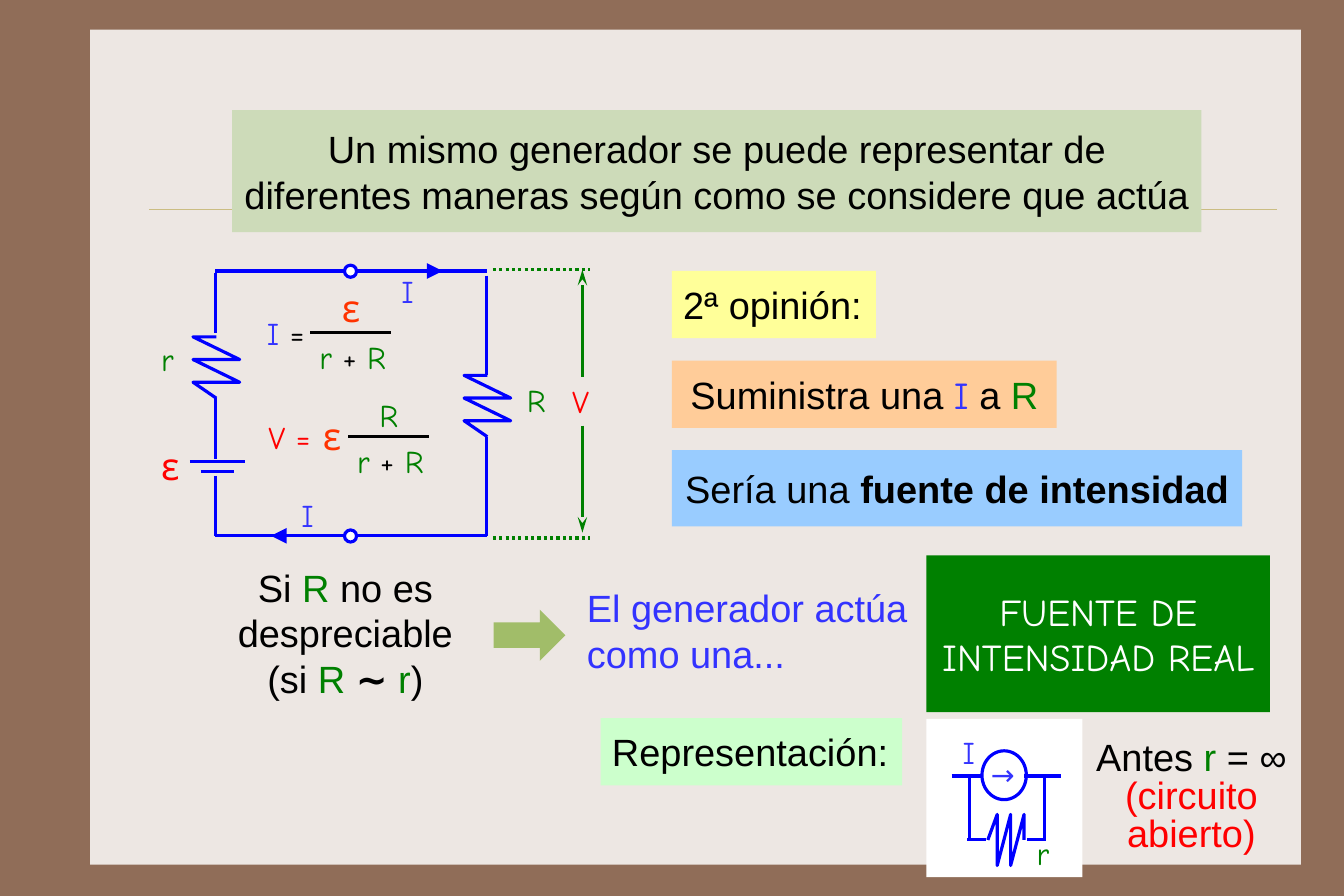
from dataclasses import dataclass
from lxml.etree import SubElement
from pptx import Presentation
from pptx.dml.color import RGBColor
from pptx.enum.dml import MSO_LINE
from pptx.enum.shapes import MSO_CONNECTOR, MSO_SHAPE
from pptx.enum.text import MSO_ANCHOR, MSO_AUTO_SIZE, PP_ALIGN
from pptx.oxml.ns import qn
from pptx.util import Cm, Pt


class Theme:
    tones = dict(
        frame="906D58", panel="EDE7E3", rule="CBBD83", title="CDDBB9", arrow="A1BD69",
        yellow="FFFF99", orange="FFCC99", sky="99CCFF", mint="CCFFCC", green="008000",
        wire="0000FF", blue="3333FF", red="FF0000", flame="FF3300", ink="000000", white="FFFFFF",
    )
    text, sign, small = 24, 20, 18
    sans, comic = "Arial", "Comic Neue"


def tone(name):
    return RGBColor.from_string(Theme.tones[name])


def put(target, values):
    for name, value in values.items():
        setattr(target, name, value)


def write(frame, paras, size=Theme.text, face=Theme.sans, align=PP_ALIGN.LEFT,
          inset=(0.25, 0.23), wrap=True, anchor=MSO_ANCHOR.MIDDLE, pitch=None):
    side, edge = map(Cm, inset)
    put(frame, dict(
        word_wrap=wrap, auto_size=MSO_AUTO_SIZE.NONE, vertical_anchor=anchor,
        margin_left=side, margin_right=side, margin_top=edge, margin_bottom=edge,
    ))
    for index, runs in enumerate(paras):
        para = frame.add_paragraph() if index else frame.paragraphs[0]
        put(para, dict(alignment=align, line_spacing=pitch))
        for text, hue, *extra in runs:
            run = para.add_run()
            run.text = text
            form = dict(name=face, size=Pt(size), bold=False)
            put(run.font, form | (extra[0] if extra else {}))
            run.font.color.rgb = tone(hue)


@dataclass
class Area:
    shapes: object
    x: float
    y: float
    w: float
    h: float

    def sub(self, x, y, w, h):
        return Area(self.shapes, self.x + x, self.y + y, w, h)

    def place(self):
        return [Cm(value) for value in (self.x, self.y, self.w, self.h)]

    def shape(self, fill=None, kind=MSO_SHAPE.RECTANGLE, line=None):
        item = self.shapes.add_shape(kind, *self.place())
        paint(item, fill, line)
        return item

    def text(self, *paras, **form):
        write(self.shapes.add_textbox(*self.place()).text_frame, paras, **form)

    def label(self, x, y, *runs, w=0.8, size=Theme.sign):
        self.sub(x, y, w, 1.07 if size > Theme.sign else 1).text(
            runs, size=size, face=Theme.comic, inset=(0.2, 0.1),
            wrap=False, anchor=MSO_ANCHOR.TOP)

    def wire(self, x, y, right, low, hue="wire", width=2, dash=None, head=None, span="med"):
        ends = self.x + x, self.y + y, self.x + right, self.y + low
        item = self.shapes.add_connector(MSO_CONNECTOR.STRAIGHT, *map(Cm, ends))
        item.line.color.rgb = tone(hue)
        put(item.line, dict(width=Pt(width), dash_style=dash))
        props = item.element.spPr
        if head:
            SubElement(props.find(qn("a:ln")), qn("a:tailEnd"), type=head, w=span, len="lg")
        SubElement(props, qn("a:effectLst"))

    def zigzag(self, turn=False):
        marks = [(0.5, 1), (0, 0.74), (1, 0.74), (0, 0.37), (1, 0.37), (0, 0), (0.5, 0)]
        if turn:
            marks = [(1 - v, u) for u, v in marks]
        spots = [(Cm(self.x + u * self.w), Cm(self.y + v * self.h)) for u, v in marks]
        path = self.shapes.build_freeform(*spots[0])
        path.add_line_segments(spots[1:], close=False)
        paint(path.convert_to_shape(), line="wire")


def paint(item, fill=None, line=None):
    item.shadow.inherit = False
    if fill:
        item.fill.solid()
        item.fill.fore_color.rgb = tone(fill)
    else:
        item.fill.background()
    if line:
        item.line.color.rgb = tone(line)
        item.line.width = Pt(2)
    else:
        item.line.fill.background()


def heading(area, title):
    put(title, dict(zip(("left", "top", "width", "height"), area.place())))
    title.fill.solid()
    title.fill.fore_color.rgb = tone("title")
    words = ("Un mismo generador se puede representar de diferentes maneras "
             "según como se considere que actúa")
    write(title.text_frame, [[(words, "ink")]], align=PP_ALIGN.CENTER, inset=(0.2, 0.33))
    area.shapes.element.append(title.element)


def fraction(area, top, size, lead):
    area.wire(0, 0, area.w, 0, "ink")
    area.label(0, 0.02, ("r ", "green"), ("+ ", "ink"), ("R", "green"), w=area.w)
    area.label(0.5, -1.17 if size > Theme.sign else -1.01, top, size=size)
    area.label(-1.17 if len(lead) > 1 else -1.98, -0.52, *lead, w=1.5)


def circuit(area):
    left, mid, right, top, low = 1.41, 4.42, 7.46, 0.15, 6.06
    for y in (top, low):
        area.wire(left, y, mid, y)
        area.wire(mid, y, right, y)
    for x, start, end in ((left, 0.2, 1.54), (left, 2.99, 4.34), (left, 4.72, low),
                          (right, 0.25, 2.46), (right, 3.85, low)):
        area.wire(x, start, x, end)
    for half, y in ((0.61, 4.41), (0.37, 4.62)):
        area.wire(left + 0.04 - half, y, left + 0.04 + half, y)
    for x, y in ((left, 1.62), (right, 2.48)):
        area.sub(x - 0.5, y, 1.04, 1.37).zigzag()
    for y in (top, low):
        area.sub(mid - 0.13, y - 0.13, 0.27, 0.27).shape("white", MSO_SHAPE.OVAL, "wire")
    area.wire(6.25, top, 6.48, top, width=1, head="triangle", span="lg")
    area.wire(2.8, low, 2.65, low, width=1, head="triangle", span="lg")
    for x, y, sign, hue in ((0, 1.59, "r", "green"), (8.16, 2.51, "R", "green"),
                            (5.36, 0.07, "I", "blue"), (3.13, 5.08, "I", "blue")):
        area.label(x, y, (sign, hue))
    area.label(0, 3.88, ("ε", "red"), size=Theme.text)
    fraction(area.sub(3.53, 1.52, 1.8, 1), ("ε", "flame"), Theme.text,
             [("I ", "blue"), ("=", "ink")])
    fraction(area.sub(4.37, 3.85, 1.8, 1), ("R", "green"), Theme.sign, [("V =", "red")])
    area.label(3.61, 3.22, ("ε", "flame"), size=Theme.text)


def voltage(area):
    for y in (0, area.h):
        area.wire(0, y, area.w, y, "green", dash=MSO_LINE.ROUND_DOT)
    for start, end in ((2.39, 0), (3.48, 5.87)):
        area.wire(2, start, 2, end, "green", head="stealth")
    area.label(1.57, 2.41, ("V", "red"))


def opinion(area):
    bands = (
        ("yellow", 4.55, 1.5, PP_ALIGN.LEFT, [("2ª opinión:", "ink")]),
        ("orange", 8.59, 1.5, PP_ALIGN.CENTER, [
            ("Suministra una ", "ink"), ("I", "blue", dict(name=Theme.comic)),
            (" a ", "ink"), ("R", "green")]),
        ("sky", 12.73, 1.7, PP_ALIGN.CENTER, [
            ("Sería una ", "ink"), ("fuente de intensidad", "ink", dict(bold=True))]),
    )
    for row, (fill, width, height, align, runs) in enumerate(bands):
        band = area.sub(0, row * 2, width, height).shape(fill)
        write(band.text_frame, [runs], align=align, wrap=False)


def result(area):
    area.sub(0, 0.1, 8.36, 3.3).text(
        [("Si ", "ink"), ("R", "green"), (" no es despreciable", "ink")],
        [("(si", "ink"), (" R ", "green"), ("∼ ", "ink", dict(bold=True)),
         ("r", "green"), (")", "ink")],
        align=PP_ALIGN.CENTER, inset=(0.2, 0.1), anchor=MSO_ANCHOR.TOP)
    area.sub(7.49, 1.21, 1.6, 1.14).shape("arrow", MSO_SHAPE.RIGHT_ARROW)
    area.sub(9.32, 0.43, 7.8, 2.51).text(
        [("El generador actúa como una...", "blue")], anchor=MSO_ANCHOR.TOP)
    box = area.sub(17.15, 0, 7.67, 3.5).shape("green")
    write(box.text_frame, [[("FUENTE DE INTENSIDAD REAL", "white")]],
          face=Theme.comic, align=PP_ALIGN.CENTER, inset=(0.2, 0.2))


def symbol(area):
    area.shape("white")
    for ends in ((0.56, 1.27, 1.21, 1.27), (2.18, 1.27, 3, 1.27), (0.96, 1.27, 0.96, 2.68),
                 (2.64, 1.27, 2.64, 2.68), (0.91, 2.68, 1.32, 2.68), (2.24, 2.68, 2.67, 2.68)):
        area.wire(*ends)
    area.sub(1.37, 2.13, 0.81, 1.14).zigzag(turn=True)
    area.sub(1.24, 0.71, 0.99, 1.09).shape(kind=MSO_SHAPE.OVAL, line="wire")
    area.label(1.24, 0.76, ("→", "blue"), w=1, size=Theme.small)
    area.label(2.26, 2.46, ("r", "green"))
    area.label(0.61, 0.2, ("I", "blue"))


def drawing(area):
    band = area.sub(0, 0, 6.73, 1.5).shape("mint")
    write(band.text_frame, [[("Representación:", "ink")]], wrap=False)
    symbol(area.sub(7.27, 0.02, 3.48, 3.53))
    area.sub(10.77, 0.38, 4.83, 2.82).text(
        [("Antes ", "ink"), ("r ", "green"), ("= ∞ ", "ink"), ("(circuito abierto)", "red")],
        align=PP_ALIGN.CENTER, inset=(0.25, 0.13), anchor=MSO_ANCHOR.TOP, pitch=Pt(24))


def main():
    deck = Presentation()
    put(deck, dict(slide_width=Cm(30), slide_height=Cm(20)))
    slide = deck.slides.add_slide(deck.slide_layouts[5])
    slide.background.fill.solid()
    slide.background.fill.fore_color.rgb = tone("frame")
    page = Area(slide.shapes, 0, 0, 30, 20)
    page.sub(2.01, 0.66, 27.03, 18.64).shape("panel")
    page.wire(3.33, 4.67, 28.5, 4.67, "rule", 0.25)
    heading(page.sub(5.18, 2.46, 21.64, 2.72), slide.shapes.title)
    circuit(page.sub(3.4, 5.9, 9, 6.2))
    voltage(page.sub(11, 6.02, 2.18, 5.99))
    opinion(page.sub(15, 6.05, 12.73, 5.7))
    result(page.sub(3.53, 12.4, 24.82, 3.5))
    drawing(page.sub(13.41, 16.03, 15.6, 3.55))
    deck.save("out.pptx")


if __name__ == "__main__":
    main()
